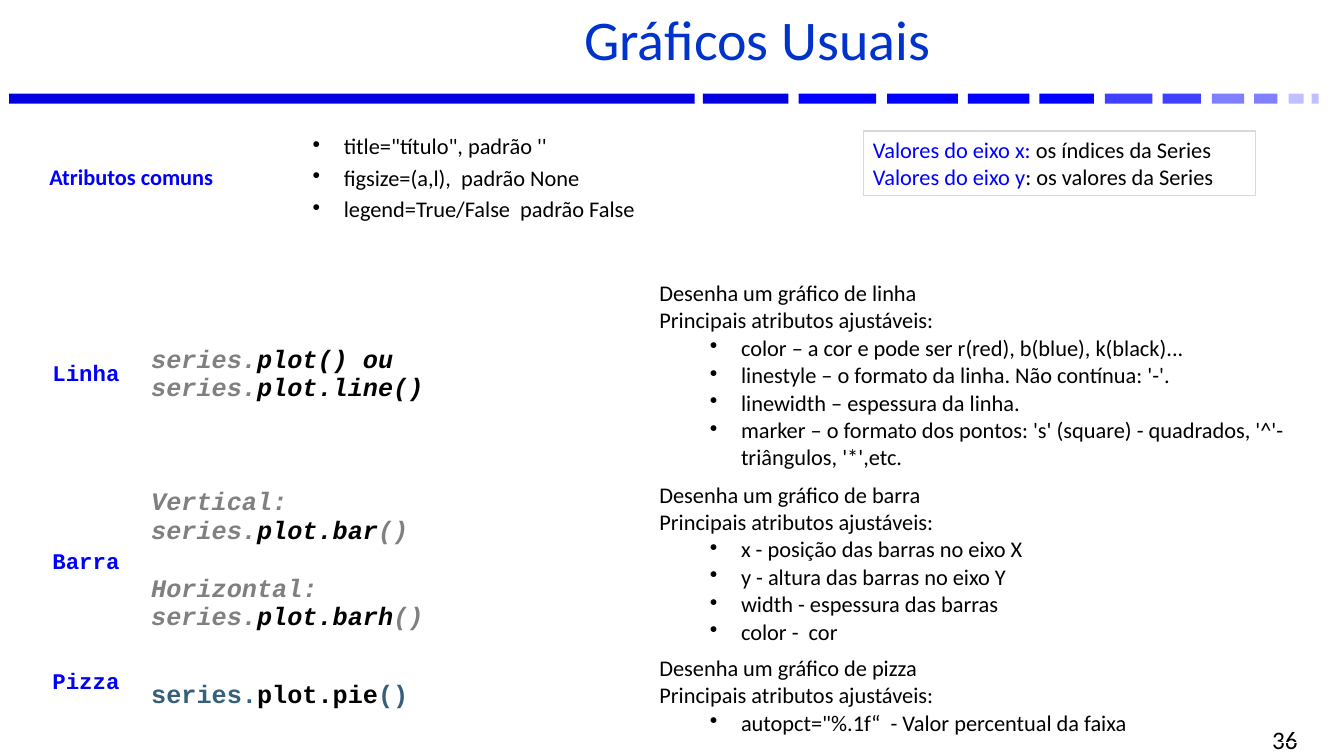
from pptx import Presentation, util as u
from pptx.dml import color
from pptx.enum import shapes, text
from pptx.oxml import xmlchemy as x

PX = 9144
BLUE, GREY, BLACK, TEAL = "0000FF", "808080", "000000", "35607C"
SANS, MONO = "Calibri", "Courier New"
MIDDLE, TOP = text.MSO_ANCHOR.MIDDLE, text.MSO_ANCHOR.TOP
ADJUSTABLE = "Principais atributos ajustáveis:"
DASHES = [
    (9, 680, "0000E0"), (697, 85, "0000E0"), (792, 77, BLUE), (880, 70, BLUE),
    (960, 61, BLUE), (1031, 54, BLUE), (1096, 47, "4040FF"), (1153, 38, "4040FF"),
    (1202, 32, "8080FF"), (1244, 23, "8080FF"), (1278, 15, "C0C0FF"), (1301, 7, "C0C0FF"),
]
COMMON = ["title=\"título\", padrão ''", "figsize=(a,l),  padrão None",
          "legend=True/False  padrão False"]
LINE_ITEMS = ["color – a cor e pode ser r(red), b(blue), k(black)...",
              "linestyle – o formato da linha. Não contínua: '-'.",
              "linewidth – espessura da linha.",
              "marker – o formato dos pontos: 's' (square) - quadrados, '^'- triângulos, '*',etc."]
BAR_ITEMS = ["x - posição das barras no eixo X", "y - altura das barras no eixo Y",
             "width - espessura das barras", "color -  cor"]
PIE_ITEMS = ["autopct=\"%.1f“  - Valor percentual da faixa"]


def px(n):
    return u.Emu(n * PX)


def rgb(value):
    return color.RGBColor.from_string(value)


def add_runs(p, runs, size=16, font=SANS, bold=False, italic=False):
    for words, colour in runs:
        r = p.add_run()
        r.text = words
        r.font.size, r.font.name = u.Pt(size), font
        r.font.bold, r.font.italic = bold, italic
        r.font.color.rgb = rgb(colour)


def add_paragraphs(tf, paragraphs, **style):
    for i, runs in enumerate(paragraphs):
        p = tf.paragraphs[0] if i == 0 else tf.add_paragraph()
        add_runs(p, runs, **style)


def add_bullet(p, margin):
    pPr = p._p.get_or_add_pPr()
    pPr.set("marL", str(px(margin)))
    pPr.set("indent", str(px(-31)))
    bullet = x.OxmlElement("a:buChar")
    bullet.set("char", "•")
    pPr.append(bullet)


def add_bullets(tf, items, margin, before=0):
    for i, item in enumerate(items):
        p = tf.add_paragraph() if i or tf.text else tf.paragraphs[0]
        p.space_before = u.Pt(before)
        add_bullet(p, margin)
        add_runs(p, [(item, BLACK)])


def add_grid(s, left, top, widths, heights):
    frame = s.shapes.add_table(len(heights), len(widths), px(left), px(top),
                               px(sum(widths)), px(sum(heights)))
    table = frame.table
    table.first_row = table.horz_banding = False
    for column, width in zip(table.columns, widths):
        column.width = px(width)
    for row, height in zip(table.rows, heights):
        row.height = px(height)
    for cell in table.iter_cells():
        cell.fill.background()
        cell.vertical_anchor = MIDDLE
    return table


def fill_label(cell, label, font=MONO):
    add_paragraphs(cell.text_frame, [[(label, BLUE)]], font=font, bold=True)


def fill_code(cell, paragraphs, italic=True):
    add_paragraphs(cell.text_frame, paragraphs, size=18, font=MONO, bold=True, italic=italic)


def fill_description(cell, kind, items):
    cell.vertical_anchor = TOP
    intro = [f"Desenha um gráfico de {kind}", ADJUSTABLE]
    add_paragraphs(cell.text_frame, [[(words, BLACK)] for words in intro])
    add_bullets(cell.text_frame, items, 81)


def add_dashes(s):
    for left, width, colour in DASHES:
        sp = s.shapes.add_shape(shapes.MSO_SHAPE.RECTANGLE, px(left), px(93), px(width), px(10))
        sp.shadow.inherit = False
        sp.fill.solid()
        sp.fill.fore_color.rgb = rgb(colour)
        sp.line.fill.background()


def set_title(s, words):
    sp = s.shapes.title
    sp.left, sp.top, sp.width, sp.height = px(194), px(6), px(1114), px(77)
    tf = sp.text_frame
    tf.auto_size = text.MSO_AUTO_SIZE.NONE
    tf.vertical_anchor = MIDDLE
    p = tf.paragraphs[0]
    p.alignment = text.PP_ALIGN.CENTER
    p.line_spacing, p.space_before = 0.8, u.Pt(6)
    add_runs(p, [(words, "0033CC")], size=40)


def add_box(s, left, top, width, height, paragraphs, align, size=16):
    sp = s.shapes.add_textbox(px(left), px(top), px(width), px(height))
    tf = sp.text_frame
    tf.word_wrap = True
    tf.vertical_anchor = MIDDLE
    add_paragraphs(tf, paragraphs, size=size)
    for p in tf.paragraphs:
        p.alignment = align
    return sp


def add_common_attributes(s):
    table = add_grid(s, 39, 127, [261, 478], [98])
    fill_label(table.cell(0, 0), "Atributos comuns", SANS)
    table.cell(0, 1).vertical_anchor = TOP
    add_bullets(table.cell(0, 1).text_frame, COMMON, 31, before=3)


def add_chart_kinds(s):
    table = add_grid(s, 42, 273, [98, 504, 653], [200, 82, 90, 92])
    for column in (0, 2):
        table.cell(1, column).merge(table.cell(2, column))
    for row, label in ((0, "Linha"), (1, "Barra"), (3, "Pizza")):
        fill_label(table.cell(row, 0), label)
    table.cell(3, 0).margin_bottom = px(31)

    fill_code(table.cell(0, 1), [[("series.", GREY), ("plot() ou ", BLACK),
                                  ("series.", GREY), ("plot.line()", BLACK)]])
    for row, heading, method in ((1, "Vertical:", "plot.bar"), (2, "Horizontal:", "plot.barh")):
        fill_code(table.cell(row, 1), [[(heading, GREY)],
                                       [("series.", GREY), (method, BLACK), ("()", GREY)]])
    fill_code(table.cell(3, 1), [[("series.", TEAL), ("plot.pie", BLACK), ("()", TEAL)]],
              italic=False)

    fill_description(table.cell(0, 2), "linha", LINE_ITEMS)
    fill_description(table.cell(1, 2), "barra", BAR_ITEMS)
    fill_description(table.cell(3, 2), "pizza", PIE_ITEMS)


def main():
    prs = Presentation()
    prs.slide_width, prs.slide_height = px(1333), px(750)
    s = prs.slides.add_slide(prs.slide_layouts[5])
    add_dashes(s)
    set_title(s, "Gráficos Usuais")
    add_box(s, 986, 723, 311, 22, [[("36", BLACK)]], text.PP_ALIGN.RIGHT, size=18)
    add_chart_kinds(s)
    add_common_attributes(s)
    axes = add_box(s, 856, 130, 389, 64,
                   [[("Valores do eixo x: ", BLUE), ("os índices da Series", BLACK)],
                    [("Valores do eixo y", BLUE), (": os valores da Series", BLACK)]],
                   text.PP_ALIGN.JUSTIFY)
    axes.line.color.rgb = rgb("D9D9D9")
    axes.line.width = u.Pt(0.75)
    prs.save("out.pptx")


if __name__ == "__main__":
    main()
